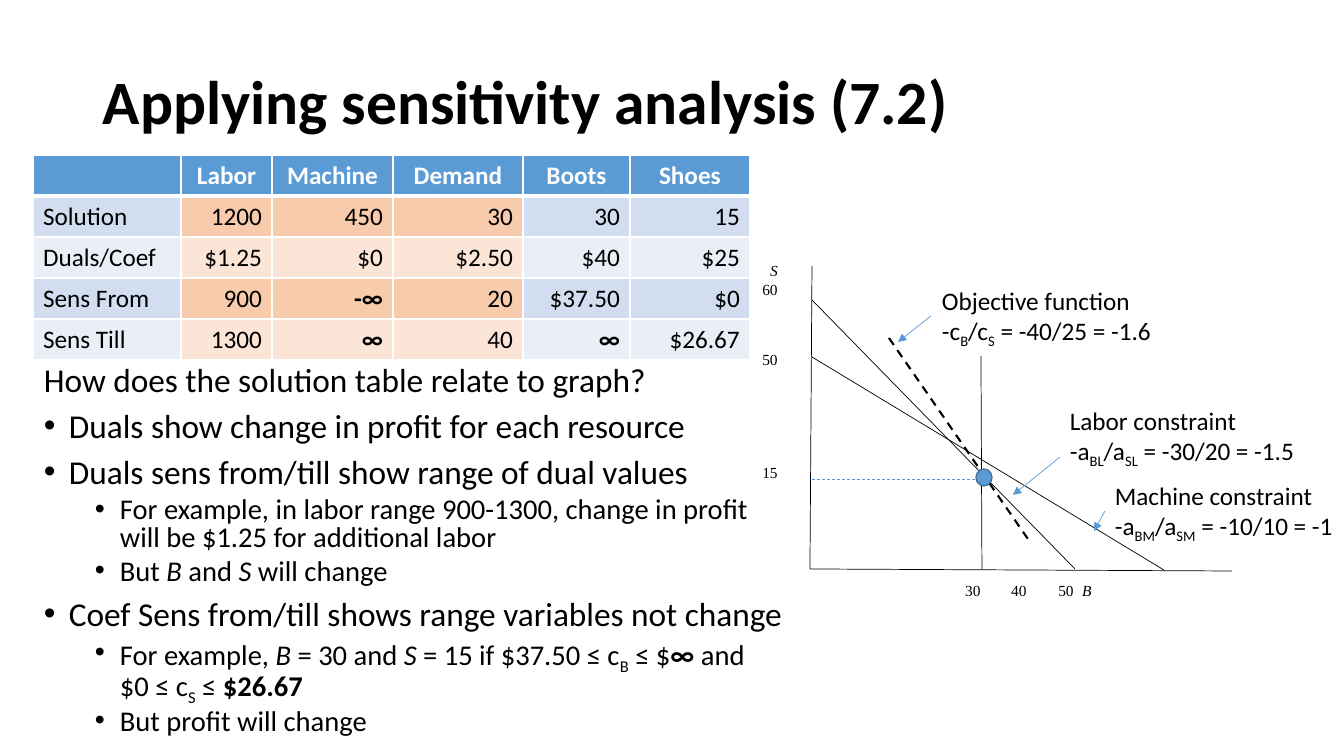
from lxml import etree
from pptx import Presentation
from pptx import util as u
from pptx.dml.color import RGBColor
from pptx.enum import dml, shapes, text
from pptx.oxml.ns import qn

SCALE = 914400 / 100.8
BLACK, WHITE, BLUE = "000000", "FFFFFF", "5B9BD5"
LEFT, MID, RIGHT = text.PP_ALIGN.LEFT, text.PP_ALIGN.CENTER, text.PP_ALIGN.RIGHT
SANS, SERIF = "Calibri", "Times New Roman"

HEADS = ["", "Labor", "Machine", "Demand", "Boots", "Shoes"]
ROWS = [
    ["Solution", "1200", "450", "30", "30", "15"],
    ["Duals/Coef", "$1.25", "$0", "$2.50", "$40", "$25"],
    ["Sens From", "900", "-∞", "20", "$37.50", "$0"],
    ["Sens Till", "1300", "∞", "40", "∞", "$26.67"],
]
WIDTHS = [148, 91, 121, 130, 107, 120]
BANDS = [("D2DEEF", "F8CBAD"), ("EAEFF7", "FBE5D6")]

# Each point: level (None has no bullet) and runs of (words, style);
# styles are b bold, i italic, s subscript.
POINTS = [
    (None, [("How does the solution table relate to graph?", "")]),
    (0, [("Duals show change in profit for each resource", "")]),
    (0, [("Duals sens from/till show range of dual values", "")]),
    (1, [("For example, in labor range 900-1300, change in profit "
          "will be $1.25 for additional labor", "")]),
    (1, [("But ", ""), ("B ", "i"), ("and ", ""), ("S", "i"), (" will change", "")]),
    (0, [("Coef Sens from/till shows range variables not change", "")]),
    (1, [("For example, ", ""), ("B ", "i"), ("= 30 and ", ""), ("S", "i"),
         (" = 15 if $37.50 ≤ c", ""), ("B", "s"), (" ≤ $", ""), ("∞", "b"),
         (" and", ""), ("\n", ""), ("$0 ≤ c", ""), ("S", "s"), (" ≤ ", ""),
         ("$26.67", "b")]),
    (1, [("But profit will change", "")]),
]


def px(n):
    """Turn pixels into EMU."""
    return u.Emu(round(n * SCALE))


def rgb(code):
    """Turn a hex string into a colour."""
    return RGBColor.from_string(code)


def sub(node, tag, **attrs):
    """Append an XML child with attributes."""
    return etree.SubElement(node, qn(tag), attrs)


def write(para, runs, size=18, color=BLACK, font=SANS, align=LEFT,
          space=None, before=None):
    """Fill a paragraph with a string or with (words, style) runs."""
    para.alignment = align
    if space:
        para.line_spacing = space
    if before:
        para.space_before = u.Pt(before)
    for words, style in [(runs, "")] if isinstance(runs, str) else runs:
        if words == "\n":
            para.add_line_break()
            continue
        run = para.add_run()
        run.text = words
        face = run.font
        face.size, face.name, face.color.rgb = u.Pt(size), font, rgb(color)
        face.bold, face.italic = "b" in style, "i" in style
        if "s" in style:
            face._element.set("baseline", "-25000")


def frame(slide, x, y, w, h, wrap=True, middle=False):
    """Add a text box and return its text frame."""
    tf = slide.shapes.add_textbox(px(x), px(y), px(w), px(h)).text_frame
    tf.word_wrap = wrap
    if middle:
        tf.vertical_anchor = text.MSO_ANCHOR.MIDDLE
    return tf


def line(slide, a, b, color=BLACK, width=0.5, dash=False, arrow=False):
    """Draw a straight line from point a to point b."""
    kind = shapes.MSO_CONNECTOR.STRAIGHT
    conn = slide.shapes.add_connector(kind, *map(px, a + b))
    conn.line.color.rgb, conn.line.width = rgb(color), u.Pt(width)
    if dash:
        conn.line.dash_style = dml.MSO_LINE.DASH
    if arrow:
        sub(conn.line._get_or_add_ln(), "a:tailEnd", type="triangle")
    sub(conn._element.spPr, "a:effectLst")


def edge(cell, low):
    """Give a cell white borders; low is the bottom width in points."""
    props = cell._tc.get_or_add_tcPr()
    for side, width in zip("LRTB", (1, 1, 1, low)):
        ln = sub(props, "a:ln" + side, w=str(u.Pt(width)))
        sub(sub(ln, "a:solidFill"), "a:srgbClr", val=WHITE)


def table(slide, x, y, high):
    """Add the solution table."""
    rows = [HEADS] + ROWS
    grid = slide.shapes.add_table(len(rows), len(HEADS), px(x), px(y),
                                  px(sum(WIDTHS)), px(high * len(rows))).table
    for col, wide in zip(grid.columns, WIDTHS):
        col.width = px(wide)
    for r, row in enumerate(rows):
        grid.rows[r].height = px(high)
        for c, word in enumerate(row):
            cell = grid.cell(r, c)
            head = r == 0
            edge(cell, 3 if head else 1)
            cell.fill.solid()
            fill = BLUE if head else BANDS[(r - 1) % 2][1 <= c <= 3]
            cell.fill.fore_color.rgb = rgb(fill)
            style = "b" if head or "∞" in word else ""
            align = MID if head else RIGHT if c else LEFT
            if word:
                write(cell.text_frame.paragraphs[0], [(word, style)],
                      color=WHITE if head else BLACK, align=align)


def points(slide, x, y, w, h):
    """Add the bulleted text."""
    tf = frame(slide, x, y, w, h)
    for n, (level, runs) in enumerate(POINTS):
        para = tf.add_paragraph() if n else tf.paragraphs[0]
        deep = level == 1
        write(para, runs, size=20.4 if deep else 23.8, space=0.8,
              before=5 if deep else 10)
        if level is not None:
            para.level = level
            props = para._p.get_or_add_pPr()
            props.set("marL", str(px(76 if deep else 25)))
            props.set("indent", str(px(-25)))
            sub(props, "a:buFont", typeface="Arial")
            sub(props, "a:buChar", char="•")


def label(slide, x, y, word, style=""):
    """Centre an axis label on a point."""
    tf = frame(slide, x - 20, y - 10, 40, 20, wrap=False, middle=True)
    tf.margin_left = tf.margin_right = tf.margin_top = tf.margin_bottom = 0
    write(tf.paragraphs[0], [(word, style)], size=11, font=SERIF, align=MID)


def note(slide, x, y, w, name, sign, subs, value, tip):
    """Name a line, show its slope and point an arrow at it."""
    tf = frame(slide, x, y, w, 72)
    write(tf.paragraphs[0], name)
    one, two = subs
    write(tf.add_paragraph(), [("-" + sign, ""), (one, "s"), ("/" + sign, ""),
                               (two, "s"), (" = " + value, "")])
    line(slide, *tip, color=BLUE, arrow=True)


def graph(slide):
    """Draw the axes, constraints, optimum and their labels."""
    top, zero, end = (812, 266), (810, 569), (1232, 571)
    for a, b in [(top, zero), (zero, end), ((981, 356), (982, 569)),
                 ((812, 357), (1164, 570)), ((812, 300), (1075, 569))]:
        line(slide, a, b)
    line(slide, (889, 338), (1028, 539), width=1.5, dash=True)
    line(slide, (985, 479), (810, 479), color=BLUE, dash=True)
    label(slide, 774, 270, "S", "i")
    for y, word in [(289, "60"), (359, "50"), (472, "15")]:
        label(slide, 770, y, word)
    for x, word in [(973, "30"), (1019, "40"), (1066, "50")]:
        label(slide, x, 590, word)
    label(slide, 1087, 590, "B", "i")
    note(slide, 932, 280, 238, "Objective function", "c", ("B", "S"),
         "-40/25 = -1.6", ((931, 316), (898, 342)))
    note(slide, 1105, 475, 245, "Machine constraint", "a", ("BM", "SM"),
         "-10/10 = -1", ((1105, 511), (1094, 531)))
    note(slide, 1060, 400, 259, "Labor constraint", "a", ("BL", "SL"),
         "-30/20 = -1.5", ((1060, 457), (1013, 495)))
    dot = slide.shapes.add_shape(shapes.MSO_SHAPE.OVAL, px(976), px(469), px(16), px(17))
    dot.shadow.inherit = False
    dot.fill.solid()
    dot.fill.fore_color.rgb = rgb(BLUE)
    dot.line.color.rgb, dot.line.width = rgb("43739E"), u.Pt(1)


def main():
    """Build the slide and save it."""
    deck = Presentation()
    deck.slide_width, deck.slide_height = px(1344), px(756)
    slide = deck.slides.add_slide(deck.slide_layouts[6])
    title = frame(slide, 93, 32, 1159, 146, middle=True)
    write(title.paragraphs[0], [("Applying sensitivity analysis (7.2)", "b")],
          size=44, space=0.9)
    table(slide, 33, 155, 41)
    points(slide, 34, 362, 767, 371)
    graph(slide)
    deck.save("out.pptx")


main()
